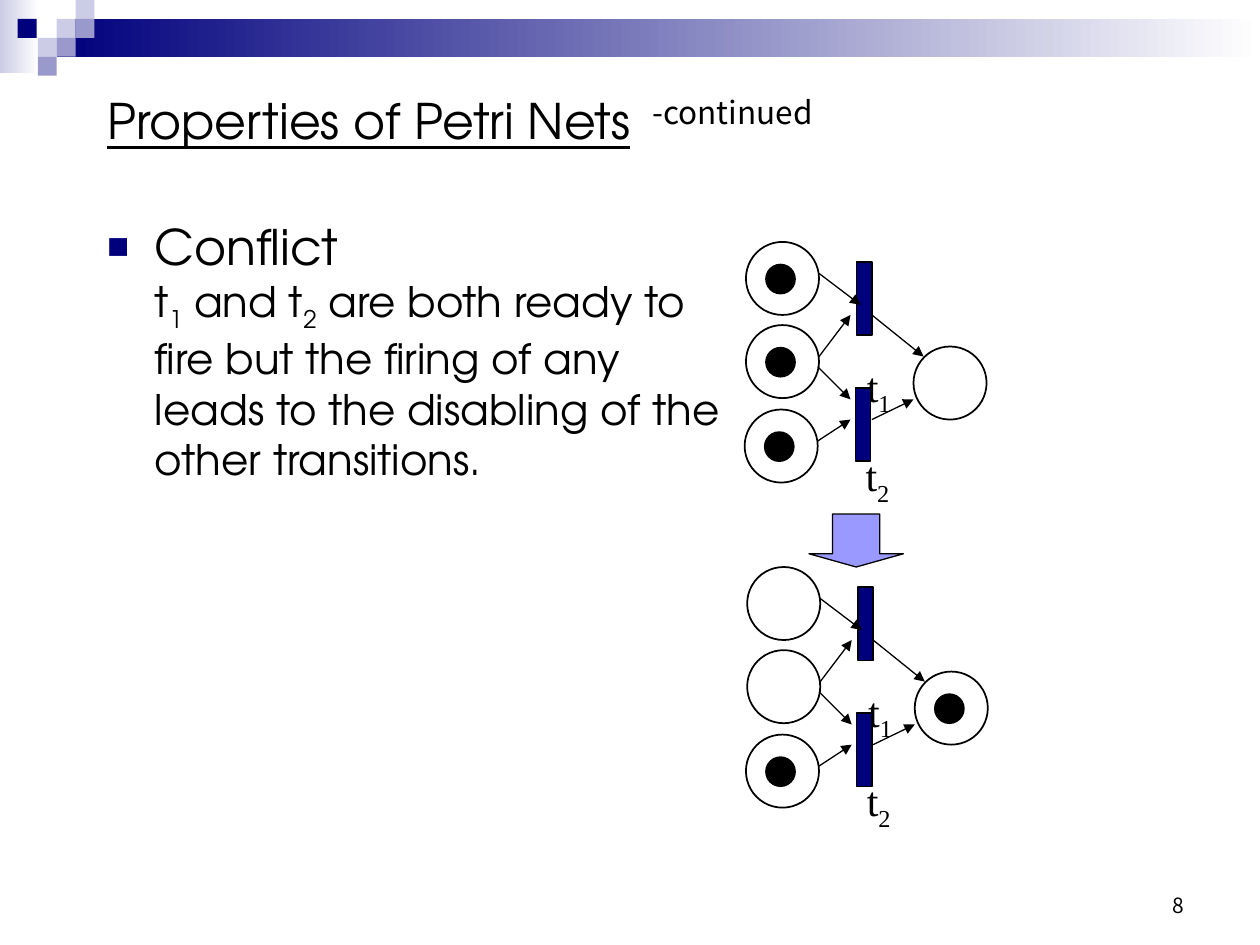
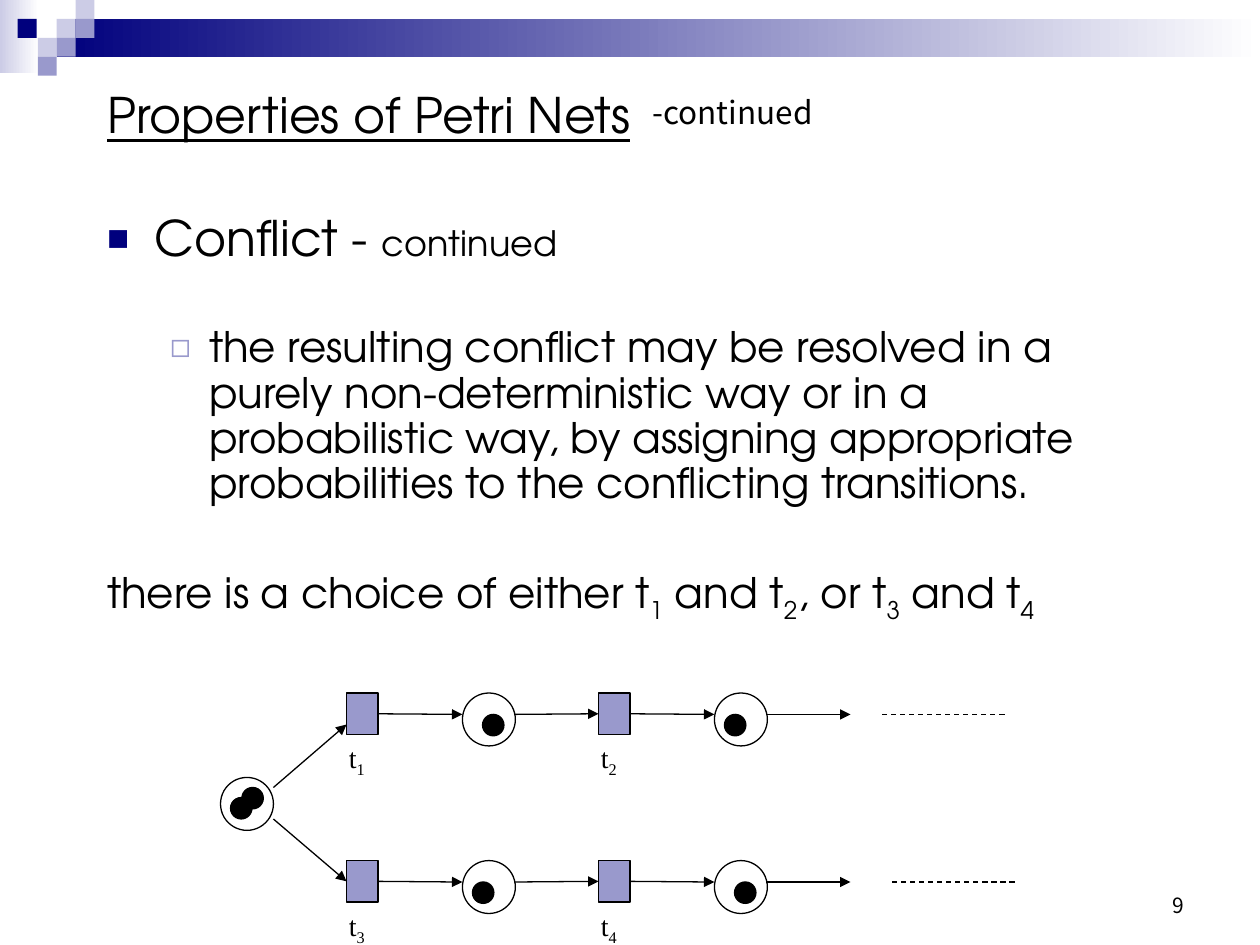
import pptx
import pptx.dml.color
import pptx.enum.dml
import pptx.enum.shapes
import pptx.enum.text
import pptx.oxml.ns
import pptx.util
from lxml import etree

Inches, Pt, qn = pptx.util.Inches, pptx.util.Pt, pptx.oxml.ns.qn
SHAPE = pptx.enum.shapes.MSO_SHAPE
ALIGN = pptx.enum.text.PP_ALIGN
ANCHOR = pptx.enum.text.MSO_ANCHOR

COLORS = {"black": "000000", "white": "FFFFFF", "navy": "00007D", "lilac": "9999CC",
          "pale": "CCCCE6", "arrow": "9999FF"}
SANS, NOTE, SERIF = "TeX Gyre Adventor", "Noto Sans CJK KR", "Times New Roman"

TITLE = "Properties of Petri Nets"
TITLE_NOTE = "-continued"
SLIDES = [
    {"number": "8", "spacing": 1.0, "body": (0.75, 1.67, 5.08, 5.83), "paragraphs": [
        {"bullet": ("■", "navy", 75), "indent": (0.38, -0.38), "before": 5.6, "runs": [
            ("Conflict", 28), ("\n", 28),
            ("t_1 and t_2 are both ready to fire but the firing of any leads to "
             "the disabling of the other transitions.", 24)]}]},
    {"number": "9", "spacing": 0.9, "body": (0.75, 1.65, 8.25, 3.52), "paragraphs": [
        {"bullet": ("■", "navy", 75), "indent": (0.38, -0.38), "before": 5.6, "runs": [
            ("Conflict - ", 28), ("continued", 20)]},
        {"bullet": ("◻", "lilac", 80), "indent": (0.81, -0.31), "before": 34, "level": 1, "runs": [
            ("the resulting conflict may be resolved in a purely non-deterministic way "
             "or in a probabilistic way, by assigning appropriate probabilities to "
             "the conflicting transitions.", 24)]},
        {"indent": (0, 0), "before": 34, "runs": [
            ("there is a choice of either t_1 and t_2, or t_3 and t_4", 24)]}]},
]

GRADIENT_BANDS = [((0, 0, 0.31, 0.58), "pale"), ((0.45, 0.15, 9.55, 0.3), "navy")]
TILE = 0.15
TILES = [(0.45, 0.15, "pale"), (0.6, 0, "pale"), (0.6, 0.15, "lilac"), (0.3, 0.3, "pale"),
         (0.14, 0.15, "navy"), (0.45, 0.3, "lilac"), (0.3, 0.45, "lilac")]

PLACE, TOKEN = 0.58, 0.23
PLACES = [(5.92, 1.92), (5.92, 2.58), (5.91, 3.25), (7.25, 2.75)]
BARS = [("t_1", (6.8, 2.08), (6.88, 2.86)), ("t_2", (6.79, 3.08), (6.87, 3.57))]
ARCS = [(6.5, 2.17, 6.83, 2.42), (6.92, 2.5, 7.33, 2.83), (6.49, 3.5, 6.75, 3.33),
        (6.92, 3.33, 7.25, 3.17), (6.5, 2.83, 6.75, 2.5), (6.49, 2.91, 6.75, 3.17)]
NETS = [{"shift": (0, 0), "marked": (0, 1, 2)}, {"shift": (0.01, 2.58), "marked": (2, 3)}]

STEP_LEFT, STEP_GAP = 2.75, 2
STEP_PLACE, STEP_TOKEN = 0.42, 0.17
BRANCHES = [
    {"top": 5.5, "labels": ("t_1", "t_2"), "tokens": ((0.16, 0.17), (0.08, 0.17)),
     "dash": 7, "entry": (2.17, 6.25, 2.75, 5.75)},
    {"top": 6.83, "labels": ("t_3", "t_4"), "tokens": ((0.08, 0.17), (0.16, 0.17)),
     "dash": 7.08, "entry": (2.17, 6.5, 2.75, 7)},
]
START = (1.75, 6.17)
START_TOKENS = [(1.83, 6.33), (1.92, 6.25)]


def rgb(name):
    return pptx.dml.color.RGBColor.from_string(COLORS[name])


def add_run(p, text, size, font, sub=False):
    r = p.add_run()
    r.text = text
    r.font.size, r.font.name = Pt(size), font
    r.font.color.rgb = rgb("black")
    if sub:
        r.font._element.set("baseline", "-25000")
    return r


def add_marked_text(p, text, size, font):
    first, *rest = text.split("_")
    add_run(p, first, size, font)
    for part in rest:
        add_run(p, part[0], size, font, sub=True)
        if part[1:]:
            add_run(p, part[1:], size, font)


def place(shape, box):
    shape.left, shape.top, shape.width, shape.height = map(Inches, box)


def text_box(s, box, wrap=True, inset=True):
    sp = s.shapes.add_textbox(*map(Inches, box))
    tf = sp.text_frame
    tf.word_wrap = wrap
    if not inset:
        tf.margin_left = tf.margin_top = tf.margin_right = tf.margin_bottom = 0
    return tf


def add_shape(shapes, kind, box, fill=None, line=0.75):
    sp = shapes.add_shape(kind, *map(Inches, box))
    sp.shadow.inherit = False
    if fill:
        sp.fill.solid()
        sp.fill.fore_color.rgb = rgb(fill)
    else:
        sp.fill.background()
    if line:
        sp.line.color.rgb, sp.line.width = rgb("black"), Pt(line)
    else:
        sp.line.fill.background()
    return sp


def circle(s, at, size, fill=None, line=0.75):
    return add_shape(s.shapes, SHAPE.OVAL, (*at, size, size), fill, line)


def connect(s, ends, begin=None, end=None, dashed=False):
    c = s.shapes.add_connector(pptx.enum.shapes.MSO_CONNECTOR.STRAIGHT, *map(Inches, ends))
    if begin:
        c.begin_connect(begin, 3)
    if end:
        c.end_connect(end, 1)
    c.line.color.rgb, c.line.width = rgb("black"), Pt(0.75)
    spPr = c.element.spPr
    if dashed:
        c.line.dash_style = pptx.enum.dml.MSO_LINE.DASH
    else:
        etree.SubElement(spPr.find(qn("a:ln")), qn("a:tailEnd"), type="triangle")
    etree.SubElement(spPr, qn("a:effectLst"))


def format_bullet(p, indent, bullet):
    pPr = p._p.get_or_add_pPr()
    pPr.set("marL", str(Inches(indent[0])))
    pPr.set("indent", str(Inches(indent[1])))
    if not bullet:
        etree.SubElement(pPr, qn("a:buNone"))
        return
    char, color, percent = bullet
    clr = etree.SubElement(pPr, qn("a:buClr"))
    etree.SubElement(clr, qn("a:srgbClr"), val=COLORS[color])
    etree.SubElement(pPr, qn("a:buSzPct"), val=str(percent * 1000))
    etree.SubElement(pPr, qn("a:buChar"), char=char)


def add_content(s, info):
    title, body = s.shapes.title, s.placeholders[1]
    place(title, (0.75, 0.67, 5.08, 0.8))
    place(body, info["body"])
    for sp in (title, body):
        sp.text_frame.vertical_anchor = ANCHOR.TOP
        sp.text_frame.auto_size = pptx.enum.text.MSO_AUTO_SIZE.NONE

    p = title.text_frame.paragraphs[0]
    p.alignment = ALIGN.LEFT
    p.line_spacing, p.space_before = info["spacing"], Pt(5.6)
    add_run(p, TITLE, 28, SANS).font.underline = True

    tf = body.text_frame
    for i, item in enumerate(info["paragraphs"]):
        p = tf.add_paragraph() if i else tf.paragraphs[0]
        p.level = item.get("level", 0)
        p.line_spacing, p.space_before = info["spacing"], Pt(item["before"])
        format_bullet(p, item["indent"], item.get("bullet"))
        for text, size in item["runs"]:
            if text == "\n":
                p.add_line_break()
            else:
                add_marked_text(p, text, size, SANS)

    p = text_box(s, (5.08, 0.75, 2.67, 0.79)).paragraphs[0]
    p.line_spacing, p.space_before = 0.8, Pt(3.6)
    add_run(p, TITLE_NOTE, 18, NOTE)

    tf = text_box(s, (7.17, 6.83, 2.33, 0.5))
    tf.vertical_anchor = ANCHOR.BOTTOM
    tf.paragraphs[0].alignment = ALIGN.RIGHT
    add_run(tf.paragraphs[0], info["number"], 12, NOTE)


def draw_net(s, net):
    dx, dy = net["shift"]
    for label, (x, y), (lx, ly) in BARS:
        add_shape(s.shapes, SHAPE.RECTANGLE, (x + dx, y + dy, 0.12, PLACE), "navy")
        tf = text_box(s, (lx + dx, ly + dy, 0.3, 0.4), wrap=False, inset=False)
        add_marked_text(tf.paragraphs[0], label, 24, SERIF)
    for x1, y1, x2, y2 in ARCS:
        connect(s, (x1 + dx, y1 + dy, x2 + dx, y2 + dy))
    for i, (x, y) in enumerate(PLACES):
        circle(s, (x + dx, y + dy), PLACE, line=1)
        if i in net["marked"]:
            circle(s, (x + dx + 0.16, y + dy + 0.18), TOKEN, "black", 1)


def draw_branch(s, branch):
    top = branch["top"]
    mid = top + 0.17
    lefts = [STEP_LEFT + i * STEP_GAP for i in range(len(branch["labels"]))]
    squares = [add_shape(s.shapes, SHAPE.RECTANGLE, (x, top, 0.25, 0.33), "lilac") for x in lefts]
    ends_mid_side = abs(branch["entry"][3] - mid) < 0.02
    connect(s, branch["entry"], end=squares[0] if ends_mid_side else None)
    followers = squares[1:] + [None]
    for x, square, follower, label, (tx, ty) in zip(
            lefts, squares, followers, branch["labels"], branch["tokens"]):
        circle(s, (x + 0.92, top), STEP_PLACE)
        circle(s, (x + 0.92 + tx, top + ty), STEP_TOKEN, "black")
        connect(s, (x + 0.25, mid, x + 0.92, mid), begin=square)
        connect(s, (x + 1.33, mid, x + 2, mid), end=follower)
        tf = text_box(s, (x - 0.08, top + 0.33, 0.34, 0.37), wrap=False)
        add_marked_text(tf.paragraphs[0], label, 16, SERIF)
    connect(s, (branch["dash"], mid, branch["dash"] + 1, mid), dashed=True)


def draw_conflict(s):
    for net in NETS:
        draw_net(s, net)
    arrow = add_shape(s.shapes, SHAPE.DOWN_ARROW, (6.42, 4.08, 0.75, 0.42), "arrow")
    arrow.adjustments[1] = 0.25


def draw_choice(s):
    circle(s, START, STEP_PLACE)
    for at in START_TOKENS:
        circle(s, at, STEP_TOKEN, "black")
    for branch in BRANCHES:
        draw_branch(s, branch)


def add_band(s, layout):
    group = s.shapes.add_group_shape()
    for box, color in GRADIENT_BANDS:
        sp = add_shape(group.shapes, SHAPE.RECTANGLE, box, color, line=0)
        sp.fill.gradient()
        sp.fill.gradient_angle = 0
        for stop, name in zip(sp.fill.gradient_stops, (color, "white")):
            stop.color.rgb = rgb(name)
    for x, y, color in TILES:
        add_shape(group.shapes, SHAPE.RECTANGLE, (x, y, TILE, TILE), color, line=0)
    layout.shapes.element.append(group.element)


def main():
    prs = pptx.Presentation()
    prs.slide_width, prs.slide_height = Inches(10), Inches(7.5)
    layout = prs.slide_layouts[1]
    for info, draw in zip(SLIDES, (draw_conflict, draw_choice)):
        s = prs.slides.add_slide(layout)
        add_content(s, info)
        draw(s)
    add_band(s, layout)
    prs.save("out.pptx")


if __name__ == "__main__":
    main()
